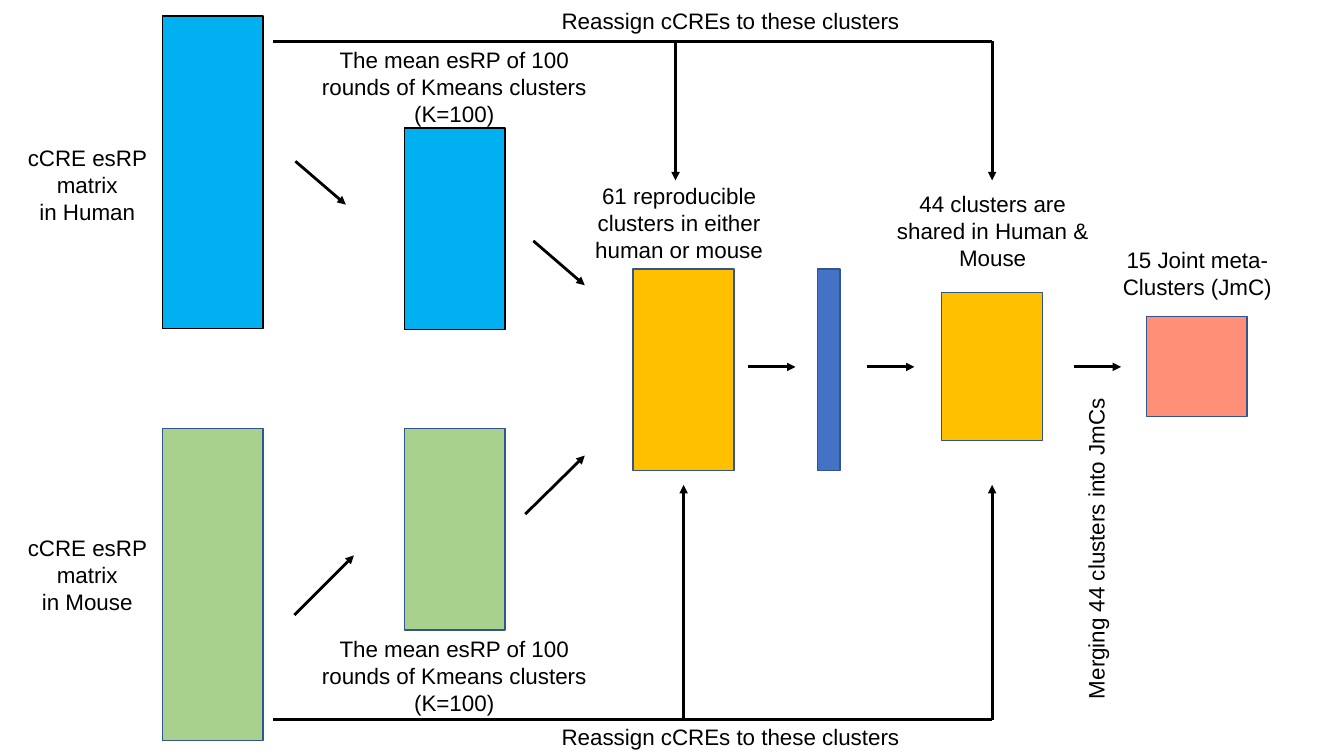
from lxml.etree import SubElement
from pptx import Presentation
from pptx.dml.color import RGBColor
from pptx.enum.shapes import MSO_CONNECTOR, MSO_SHAPE
from pptx.enum.text import MSO_AUTO_SIZE, PP_ALIGN
from pptx.oxml.ns import qn
from pptx.util import Inches, Pt

BLACK = RGBColor(0x00, 0x00, 0x00)
NAVY = RGBColor(0x32, 0x54, 0x91)
SKY = RGBColor(0x00, 0xB0, 0xF0)
GREEN = RGBColor(0xA9, 0xD1, 0x8E)
BLUE = RGBColor(0x44, 0x72, 0xC4)
GOLD = RGBColor(0xFF, 0xC0, 0x00)
CORAL = RGBColor(0xFF, 0x8F, 0x77)

MATRIX_WIDTH = 1
FLOW_Y = 3.64


class Diagram:
    font_name = "Arial"
    font_size = Pt(16)
    outline_width = Pt(1)
    arrow_width = Pt(2)

    def __init__(self, page):
        self.page = page

    def matrix(self, left, top, height, fill, outline=NAVY, width=MATRIX_WIDTH):
        box = self.page.shapes.add_shape(
            MSO_SHAPE.RECTANGLE, Inches(left), Inches(top), Inches(width), Inches(height))
        box.shadow.inherit = False
        box.fill.solid()
        box.fill.fore_color.rgb = fill
        box.line.color.rgb = outline
        box.line.width = self.outline_width

    def label(self, left, top, width, height, *lines, align=PP_ALIGN.CENTER, rotation=0):
        box = self.page.shapes.add_textbox(
            Inches(left), Inches(top), Inches(width), Inches(height))
        box.rotation = rotation
        frame = box.text_frame
        frame.word_wrap = True
        frame.auto_size = MSO_AUTO_SIZE.SHAPE_TO_FIT_TEXT
        for index, line in enumerate(lines):
            para = frame.add_paragraph() if index else frame.paragraphs[0]
            para.alignment = align
            span = para.add_run()
            span.text = line
            span.font.name = self.font_name
            span.font.size = self.font_size
            span.font.color.rgb = BLACK

    def line(self, start, end):
        connector = self.page.shapes.add_connector(
            MSO_CONNECTOR.STRAIGHT, *(Inches(value) for value in (*start, *end)))
        connector.line.color.rgb = BLACK
        connector.line.width = self.arrow_width
        SubElement(connector._element.spPr, qn("a:effectLst"))
        return connector

    def arrow(self, start, end):
        connector = self.line(start, end)
        SubElement(connector.line._get_or_add_ln(), qn("a:tailEnd"), type="triangle")


def draw_species(diagram, name, fill, outline, matrix_top, mean_top, name_top, mean_label_top):
    diagram.matrix(1.61, matrix_top, 3.1, fill, outline)
    diagram.matrix(4.01, mean_top, 2, fill, outline)
    diagram.label(0.14, name_top, 1.45, 0.91, "cCRE esRP matrix", f"in {name}")
    diagram.label(3.07, mean_label_top, 2.87, 0.91,
                  "The mean esRP of 100 rounds of Kmeans clusters (K=100)")


def draw_reassignment(diagram, rail_y, arrow_end, first_x, label_top):
    """Draw a rail from a species matrix with arrows to both cluster sets."""
    last_x = 9.84
    diagram.line((2.71, rail_y), (last_x, rail_y))
    for x in (first_x, last_x):
        diagram.arrow((x, rail_y), (x, arrow_end))
    diagram.label(5, label_top, 4.49, 0.37, "Reassign cCREs to these clusters")


def main():
    deck = Presentation()
    deck.slide_width, deck.slide_height = Inches(13.33), Inches(7.5)
    diagram = Diagram(deck.slides.add_slide(deck.slide_layouts[6]))

    draw_species(diagram, "Human", SKY, BLACK, 0.16, 1.27, 1.38, 0.41)
    draw_species(diagram, "Mouse", GREEN, NAVY, 4.25, 4.25, 5.25, 6.25)

    diagram.matrix(6.28, 2.67, 2, GOLD)
    diagram.matrix(8.11, 2.67, 2, BLUE, width=0.22)
    diagram.matrix(9.34, 2.9, 1.47, GOLD)
    diagram.matrix(11.37, 3.14, 0.99, CORAL)

    diagram.label(5.58, 1.76, 2.31, 0.91, "61 reproducible clusters in either human or mouse")
    diagram.label(8.77, 1.84, 2.15, 0.91, "44 clusters are shared in Human & Mouse")
    diagram.label(10.8, 2.39, 2.15, 0.64, "15 Joint meta-Clusters (JmC)")
    diagram.label(9.26, 5.28, 3.22, 0.37, "Merging 44 clusters into JmCs",
                  align=PP_ALIGN.RIGHT, rotation=270)

    draw_reassignment(diagram, 0.41, 1.79, 6.7, 0.02)
    draw_reassignment(diagram, 7.14, 4.81, 6.78, 7.13)

    for x in (7.42, 8.6, 10.65):
        diagram.arrow((x, FLOW_Y), (x + 0.47, FLOW_Y))
    for start, end in (
        ((2.93, 1.6), (3.43, 2.03)),
        ((5.29, 2.39), (5.8, 2.83)),
        ((2.92, 6.1), (3.51, 5.51)),
        ((5.21, 5.1), (5.8, 4.52)),
    ):
        diagram.arrow(start, end)

    deck.save("out.pptx")


if __name__ == "__main__":
    main()
